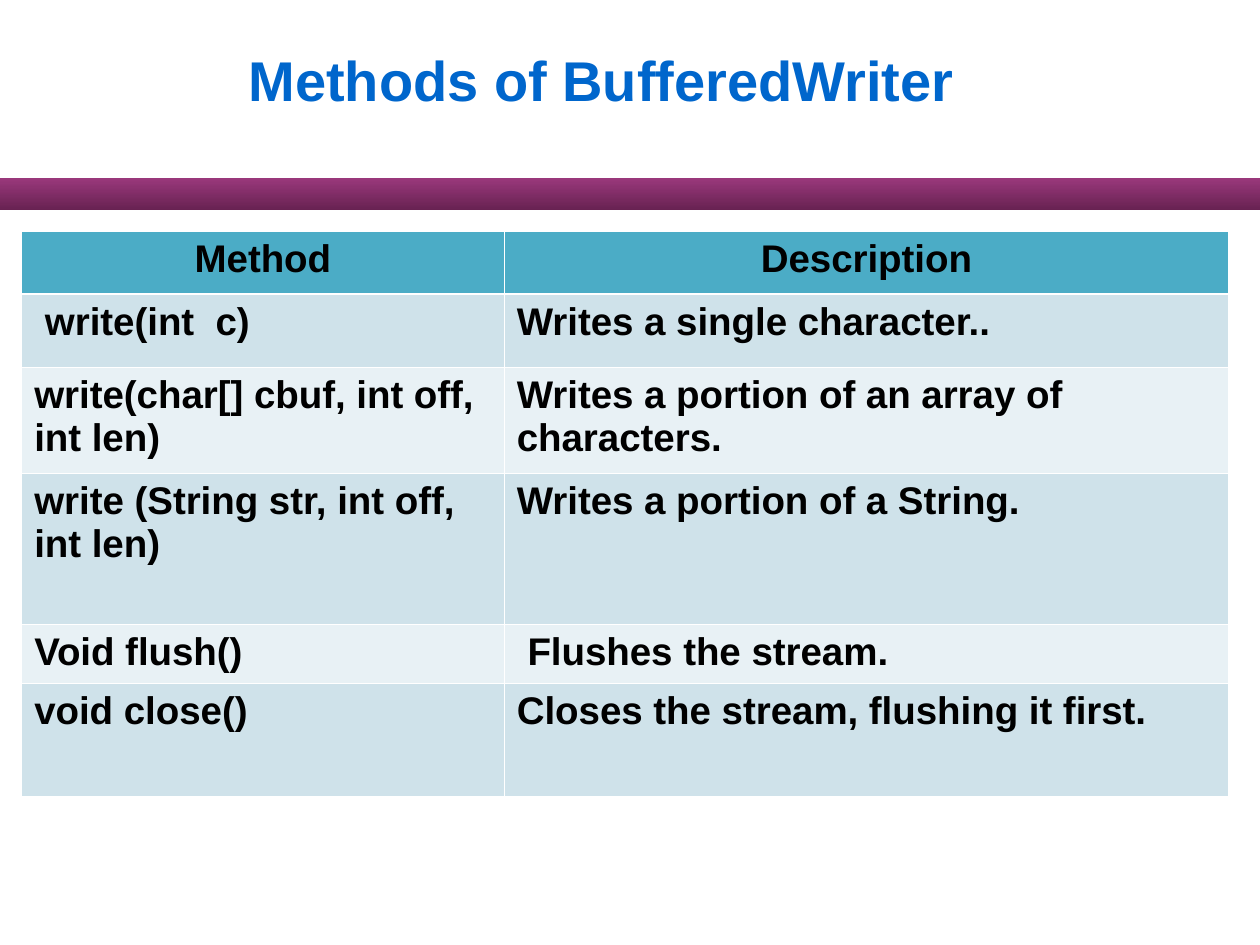
from lxml import etree
from pptx import Presentation
from pptx import util as u
from pptx.dml.color import RGBColor
from pptx.enum import shapes, text
from pptx.oxml.ns import qn

HEADS = ("Method", "Description")
ROWS = [
    ("write(int  c)", "Writes a single character.."),
    ("write(char[] cbuf, int off, int len)", "Writes a portion of an array of characters."),
    ("write (String str, int off, int len)", "Writes a portion of a String."),
    ("Void flush()", "Flushes the stream."),
    ("void close()", "Closes the stream, flushing it first."),
]
WIDTHS = (275.76, 414)
HEIGHTS = (36, 41.76, 60.48, 86.4, 33.84, 64.8)
INSET = {(1, 0): 13.3, (4, 1): 13.3}


def tint(code):
    return RGBColor.from_string(code)


def write(frame, words, size=22, color="000000", align=text.PP_ALIGN.LEFT):
    part = frame.paragraphs[0]
    part.alignment = align
    run = part.add_run()
    run.text = words
    font = run.font
    font.name, font.size, font.bold = "Arial", u.Pt(size), True
    font.color.rgb = tint(color)


def edge(cell, side, width, color):
    line = etree.SubElement(cell._tc.get_or_add_tcPr(), qn(f"a:ln{side}"), w=str(u.Pt(width)))
    fill = etree.SubElement(line, qn("a:solidFill"))
    etree.SubElement(fill, qn("a:srgbClr"), val=color)


class Deck:
    blue = "0066CC"
    head = "4BACC6"
    bands = ("CFE2EA", "E8F1F5")
    rule = "FFFFFF"
    thin, thick = 0.45, 1.47

    def __init__(self, show):
        self.slide = show.slides.add_slide(show.slide_layouts[6])

    def title(self, words, *box):
        frame = self.slide.shapes.add_textbox(*map(u.Pt, box)).text_frame
        frame.word_wrap = True
        frame.vertical_anchor = text.MSO_ANCHOR.MIDDLE
        write(frame, words, size=32, color=self.blue)

    def bar(self, low, high, *box):
        shape = self.slide.shapes.add_shape(shapes.MSO_SHAPE.RECTANGLE, *map(u.Pt, box))
        shape.shadow.inherit = False
        shape.line.fill.background()
        shape.fill.gradient()
        shape.fill.gradient_angle = 90
        for stop, color in zip(shape.fill.gradient_stops, (low, high)):
            stop.color.rgb = tint(color)

    def table(self, rows, left, top):
        box = map(u.Pt, (left, top, sum(WIDTHS), sum(HEIGHTS)))
        grid = self.slide.shapes.add_table(len(rows), len(WIDTHS), *box).table
        grid.horz_banding = False
        for col, width in zip(grid.columns, WIDTHS):
            col.width = u.Pt(width)
        for row, height in zip(grid.rows, HEIGHTS):
            row.height = u.Pt(height)
        for r, row in enumerate(rows):
            for c, words in enumerate(row):
                self.cell(grid.cell(r, c), words, r, INSET.get((r, c), 7.2))

    def cell(self, cell, words, row, inset):
        cell.margin_left, cell.margin_right = u.Pt(inset), u.Pt(7.2)
        cell.margin_top = cell.margin_bottom = u.Pt(3.6)
        for side in "LRTB":
            heavy = (row, side) in ((0, "B"), (1, "T"))
            edge(cell, side, self.thick if heavy else self.thin, self.rule)
        cell.fill.solid()
        cell.fill.fore_color.rgb = tint(self.bands[(row - 1) % 2] if row else self.head)
        align = text.PP_ALIGN.LEFT if row else text.PP_ALIGN.CENTER
        write(cell.text_frame, words, align=align)


def main():
    show = Presentation()
    show.slide_width, show.slide_height = u.Pt(720), u.Pt(540)
    deck = Deck(show)
    deck.bar("682252", "99387B", 0, 102, 720, 18)
    deck.title("Methods of BufferedWriter", 134.9, 0, 585.1, 90)
    deck.table([HEADS, *ROWS], 12.4, 132)
    show.save("out.pptx")


if __name__ == "__main__":
    main()
